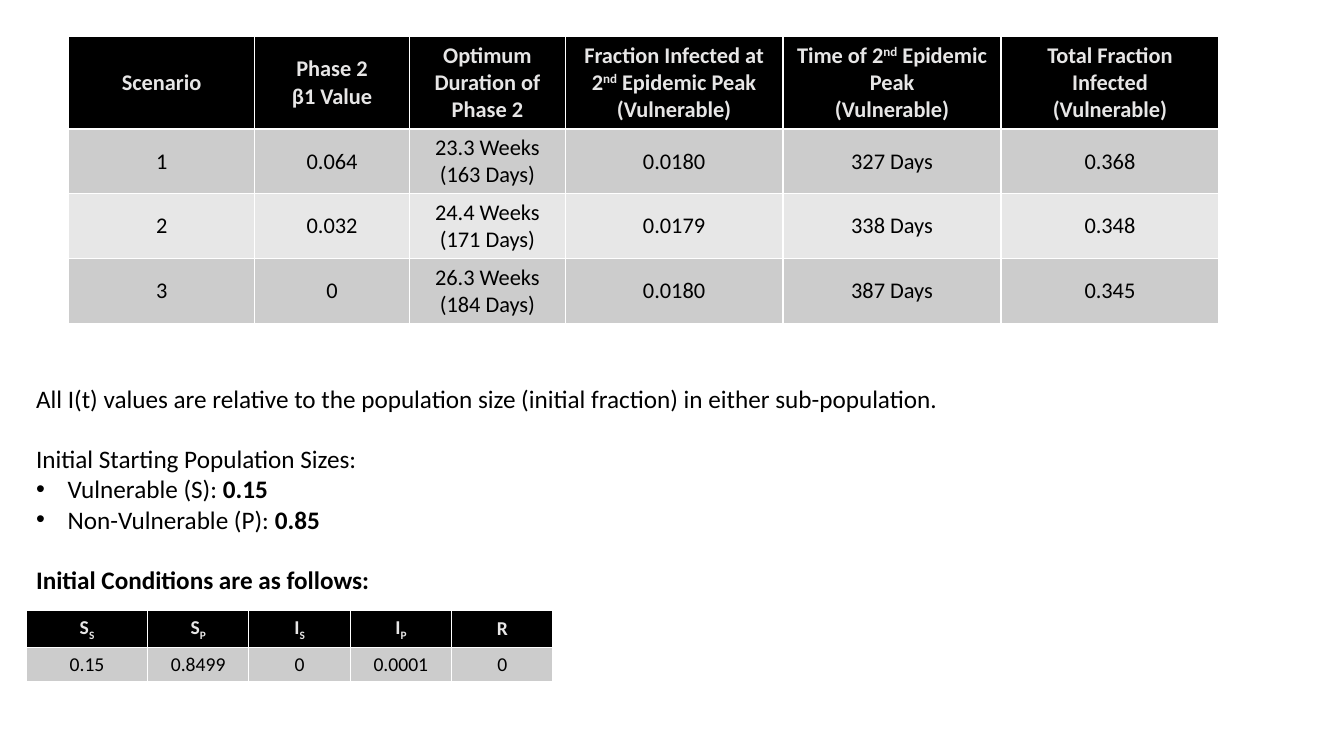
from dataclasses import dataclass
from typing import NamedTuple

from lxml import etree
from pptx import Presentation
from pptx.dml.color import RGBColor
from pptx.enum.text import MSO_ANCHOR, MSO_AUTO_SIZE, PP_ALIGN
from pptx.oxml.ns import qn
from pptx.util import Pt

CENTER = PP_ALIGN.CENTER
MIDDLE = MSO_ANCHOR.MIDDLE
GROW = MSO_AUTO_SIZE.SHAPE_TO_FIT_TEXT

FONT = "Calibri"
BLACK, WHITE, PALE = "000000", "FFFFFF", "E7E6E6"
BANDS = ("CCCCCC", "E7E7E7")
SUPER, SUB = 30, -25


class Run(NamedTuple):
    text: str
    bold: bool = False
    base: int = 0


class Line(NamedTuple):
    runs: list[Run]
    gap: float = 0
    bullet: bool = False


@dataclass
class Grid:
    left: float
    top: float
    cols: list[float]
    rows: list[float]
    size: float
    head: list[list[list[Run]]]
    body: list[list[str]]


def color(code: str) -> RGBColor:
    return RGBColor.from_string(code)


def add_runs(para, runs: list[Run], size: float, code: str) -> None:
    for item in runs:
        run = para.add_run()
        run.text = item.text
        font = run.font
        font.name, font.size, font.bold = FONT, Pt(size), item.bold
        font.color.rgb = color(code)
        if item.base:
            run._r.get_or_add_rPr().set("baseline", str(item.base * 1000))


def add_rules(cell) -> None:
    props = cell._tc.get_or_add_tcPr()
    for side in ("lnL", "lnR", "lnT", "lnB"):
        line = etree.SubElement(props, qn(f"a:{side}"), w=str(Pt(1)))
        fill = etree.SubElement(line, qn("a:solidFill"))
        etree.SubElement(fill, qn("a:srgbClr"), val=WHITE)


def fill_cell(cell, lines: list[list[Run]], size: float, ink: str, back: str) -> None:
    add_rules(cell)
    cell.fill.solid()
    cell.fill.fore_color.rgb = color(back)
    cell.vertical_anchor = MIDDLE
    frame = cell.text_frame
    for i, runs in enumerate(lines):
        para = frame.add_paragraph() if i else frame.paragraphs[0]
        para.alignment = CENTER
        add_runs(para, runs, size, ink)


def add_grid(slide, grid: Grid) -> None:
    table = slide.shapes.add_table(
        len(grid.rows), len(grid.cols), Pt(grid.left), Pt(grid.top),
        Pt(sum(grid.cols)), Pt(sum(grid.rows))).table
    for col, width in zip(table.columns, grid.cols):
        col.width = Pt(width)
    for row, height in zip(table.rows, grid.rows):
        row.height = Pt(height)
    for c, lines in enumerate(grid.head):
        fill_cell(table.cell(0, c), lines, grid.size, PALE, BLACK)
    for r, texts in enumerate(grid.body):
        for c, text in enumerate(texts):
            lines = [[Run(part)] for part in text.split("\n")]
            fill_cell(table.cell(r + 1, c), lines, grid.size, BLACK, BANDS[r % 2])


def add_notes(slide, lines: list[Line], size: float) -> None:
    box = slide.shapes.add_textbox(Pt(18.7), Pt(270), Pt(689), Pt(160))
    frame = box.text_frame
    frame.word_wrap = True
    frame.auto_size = GROW
    for i, line in enumerate(lines):
        para = frame.add_paragraph() if i else frame.paragraphs[0]
        if line.gap:
            para.space_before = Pt(line.gap)
        if line.bullet:
            props = para._p.get_or_add_pPr()
            props.set("marL", str(Pt(22.5)))
            props.set("indent", str(Pt(-22.5)))
            etree.SubElement(props, qn("a:buFont"), typeface="Arial")
            etree.SubElement(props, qn("a:buChar"), char="•")
        add_runs(para, line.runs, size, BLACK)


def bold(text: str, base: int = 0) -> Run:
    return Run(text, True, base)


def peak(start: str, end: str) -> list[list[Run]]:
    return [[bold(start), bold("nd", SUPER), bold(end)], [bold("(Vulnerable)")]]


# Results for each scenario
RESULTS = Grid(
    49.2, 26.2, [132.5, 111, 111, 155.7, 155.7, 155.7], [65.8, 46.4, 46.4, 46.4], 16,
    [[[bold("Scenario")]],
     [[bold("Phase 2")], [bold("β1 Value")]],
     [[bold("Optimum Duration of Phase 2")]],
     peak("Fraction Infected at 2", " Epidemic Peak"),
     peak("Time of 2", " Epidemic Peak"),
     [[bold("Total Fraction Infected")], [bold("(Vulnerable)")]]],
    [["1", "0.064", "23.3 Weeks\n(163 Days)", "0.0180", "327 Days", "0.368"],
     ["2", "0.032", "24.4 Weeks\n(171 Days)", "0.0179", "338 Days", "0.348"],
     ["3", "0", "26.3 Weeks\n(184 Days)", "0.0180", "387 Days", "0.345"]])

# Starting values of the model
START = Grid(
    19, 436.3, [86.4, 72.4, 72.4, 72.4, 72.4], [26, 24.4], 14,
    [[[bold(name), bold(group, SUB)]] for name, group in ("SS", "SP", "IS", "IP")]
    + [[[bold("R")]]],
    [["0.15", "0.8499", "0", "0.0001", "0"]])

# Notes between the tables
GAP = 21.7
NOTES = [
    Line([Run("All I(t) values are relative to the population size "
              "(initial fraction) in either sub-population.")]),
    Line([Run("Initial Starting Population Sizes:")], GAP),
    Line([Run("Vulnerable (S): "), bold("0.15")], bullet=True),
    Line([Run("Non-Vulnerable (P): "), bold("0.85")], bullet=True),
    Line([bold("Initial Conditions are as follows:")], GAP),
]


def main() -> None:
    deck = Presentation()
    deck.slide_width, deck.slide_height = Pt(960), Pt(540)
    slide = deck.slides.add_slide(deck.slide_layouts[6])
    add_grid(slide, RESULTS)
    add_notes(slide, NOTES, 18)
    add_grid(slide, START)
    deck.save("out.pptx")


if __name__ == "__main__":
    main()
